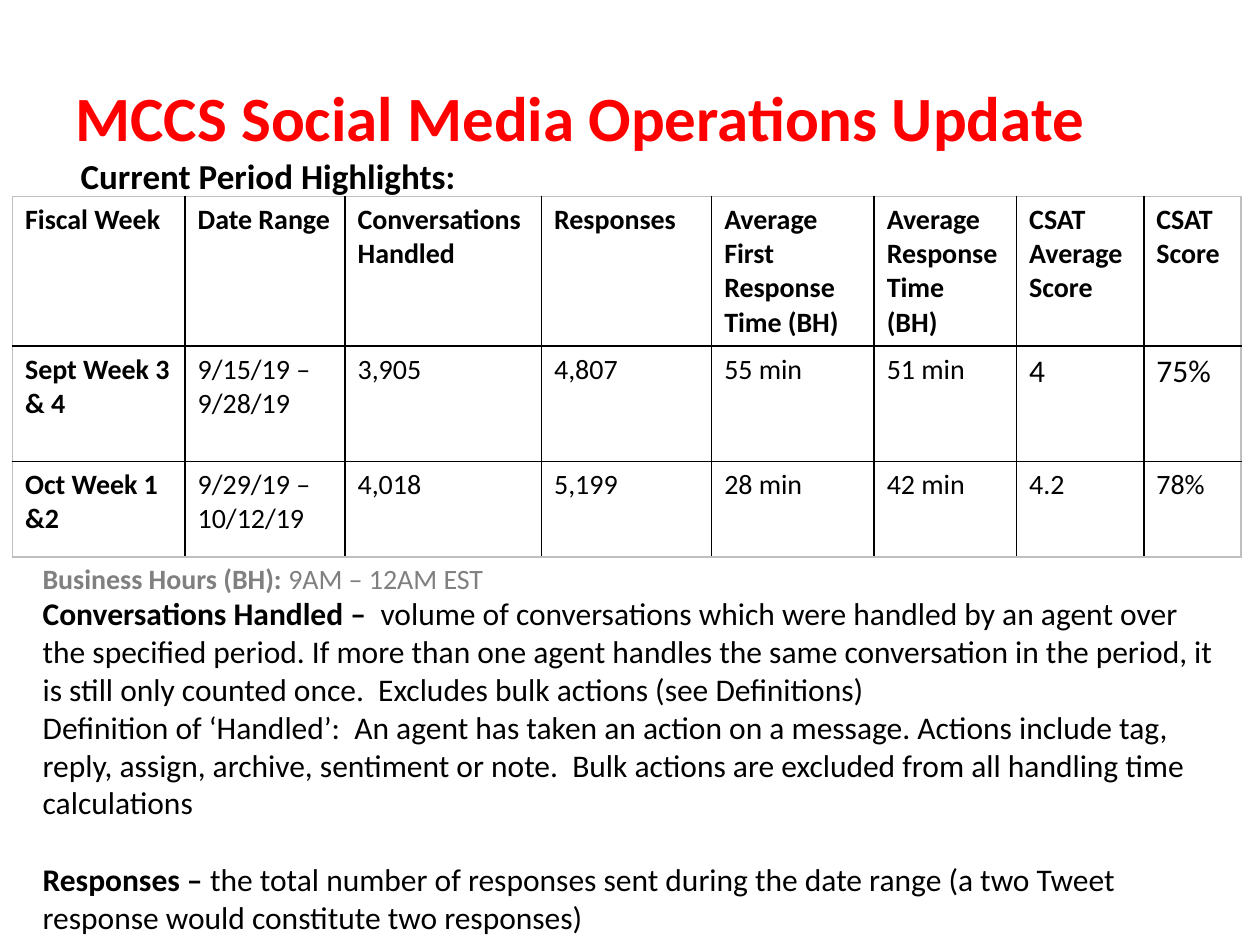
from pptx import Presentation
from pptx import util as u
from pptx.dml.color import RGBColor
from pptx.enum import text
from pptx.oxml import ns
from lxml import etree

RED = RGBColor(0xFF, 0x00, 0x00)
BLACK = RGBColor(0x00, 0x00, 0x00)
GREY = RGBColor(0x80, 0x80, 0x80)
LIGHT_GREY = RGBColor(0xBF, 0xBF, 0xBF)
WHITE = RGBColor(0xFF, 0xFF, 0xFF)

COLUMN_WIDTHS = [98.6, 91.4, 112.3, 97.2, 92.9, 81.4, 72.7, 55.5]
ROW_HEIGHTS = [85.5, 66, 54.5]
ROWS = [
    ["Fiscal Week", "Date Range", "Conversations Handled", "Responses",
     "Average First Response Time (BH)", "Average Response Time\n(BH)",
     "CSAT Average Score", "CSAT Score"],
    ["Sept Week 3 & 4", "9/15/19 – 9/28/19", "3,905", "4,807",
     "55 min", "51 min", "4", "75%"],
    ["Oct Week 1 &2", "9/29/19 – 10/12/19", "4,018", "5,199",
     "28 min", "42 min", "4.2", "78%"],
]
LARGE_CELLS = {(1, 6), (1, 7)}

# Each paragraph is a bold lead-in and the plain text after it.
HOURS = [("Business Hours (BH): ", "9AM – 12AM EST")]
DEFINITIONS = [
    ("Conversations Handled –  ",
     "volume of conversations which were handled by an agent over the specified "
     "period. If more than one agent handles the same conversation in the period, "
     "it is still only counted once.  Excludes bulk actions (see Definitions)"),
    ("",
     "Definition of ‘Handled’:  An agent has taken an action on a message. Actions "
     "include tag, reply, assign, archive, sentiment or note.  Bulk actions are "
     "excluded from all handling time calculations"),
    ("Responses – ",
     "the total number of responses sent during the date range (a two Tweet "
     "response would constitute two responses)"),
]


class SlideBuilder:
    """Holds the shared style and the slide being filled; lengths are in points."""

    font = "Calibri"

    def __init__(self, slide):
        self.slide = slide

    def style(self, span, size, color=BLACK, bold=False):
        span.font.name = self.font
        span.font.size = u.Pt(size)
        span.font.color.rgb = color
        span.font.bold = bold

    def placeholder(self, index, words, bounds, size, color, top_inset=3.6):
        """Fill a template placeholder with one bold, left-aligned line."""
        box = self.slide.placeholders[index]
        box.left, box.top, box.width, box.height = map(u.Pt, bounds)
        frame = box.text_frame
        frame.text = words
        frame.auto_size = text.MSO_AUTO_SIZE.NONE
        frame.margin_top = u.Pt(top_inset)
        para = frame.paragraphs[0]
        para.alignment = text.PP_ALIGN.LEFT
        para.space_before = u.Pt(0)
        properties = para._p.get_or_add_pPr()
        properties.set("marL", "0")
        properties.set("indent", "0")
        etree.SubElement(properties, ns.qn("a:buNone"))
        self.style(para.runs[0], size, color, bold=True)

    def text_box(self, paragraphs, bounds, size, color=BLACK, last_gap=0):
        """Add a text box; last_gap is the space before its last paragraph."""
        frame = self.slide.shapes.add_textbox(*map(u.Pt, bounds)).text_frame
        frame.word_wrap = True
        for number, (lead, rest) in enumerate(paragraphs):
            para = frame.paragraphs[0] if number == 0 else frame.add_paragraph()
            for words, bold in ((lead, True), (rest, False)):
                if words:
                    span = para.add_run()
                    span.text = words
                    self.style(span, size, color, bold)
        para.space_before = u.Pt(last_gap)

    def borders(self, cell, colors):
        """Draw the left, right, top and bottom edges in the given colours."""
        properties = cell._tc.get_or_add_tcPr()
        for position, (side, color) in enumerate(zip("LRTB", colors)):
            line = etree.Element(ns.qn(f"a:ln{side}"), w=str(u.Pt(1)))
            fill = etree.SubElement(line, ns.qn("a:solidFill"))
            etree.SubElement(fill, ns.qn("a:srgbClr"), val=str(color))
            properties.insert(position, line)

    def table(self, rows, left, top, widths, heights):
        bounds = map(u.Pt, (left, top, sum(widths), sum(heights)))
        table = self.slide.shapes.add_table(len(rows), len(widths), *bounds).table
        table.first_row = table.horz_banding = False
        for column, width in zip(table.columns, widths):
            column.width = u.Pt(width)
        for row, height in zip(table.rows, heights):
            row.height = u.Pt(height)
        for r, values in enumerate(rows):
            for c, value in enumerate(values):
                cell = table.cell(r, c)
                cell.text_frame.text = value
                cell.fill.solid()
                cell.fill.fore_color.rgb = WHITE
                outer = (c == 0, c == len(widths) - 1, r == 0, r == len(rows) - 1)
                self.borders(cell, [LIGHT_GREY if edge else BLACK for edge in outer])
                size = 18 if (r, c) in LARGE_CELLS else 16
                for para in cell.text_frame.paragraphs:
                    self.style(para.runs[0], size, bold=r == 0 or c == 0)


def main():
    deck = Presentation()
    deck.slide_width, deck.slide_height = u.Pt(720), u.Pt(540)
    page = SlideBuilder(deck.slides.add_slide(deck.slide_layouts[1]))
    page.placeholder(0, "MCCS Social Media Operations Update",
                     (36, 21.6, 648, 90), 36, RED)
    page.placeholder(1, "Current Period Highlights:",
                     (38.9, 55.4, 648, 270), 20, BLACK, top_inset=33)
    page.table(ROWS, 7.2, 112.3, COLUMN_WIDTHS, ROW_HEIGHTS)
    page.text_box(HOURS, (17.3, 317.5, 383.8, 26.6), 16, GREY)
    page.text_box(DEFINITIONS, (17.3, 336.2, 690.5, 225.4), 18, last_gap=22)
    deck.save("out.pptx")


if __name__ == "__main__":
    main()
